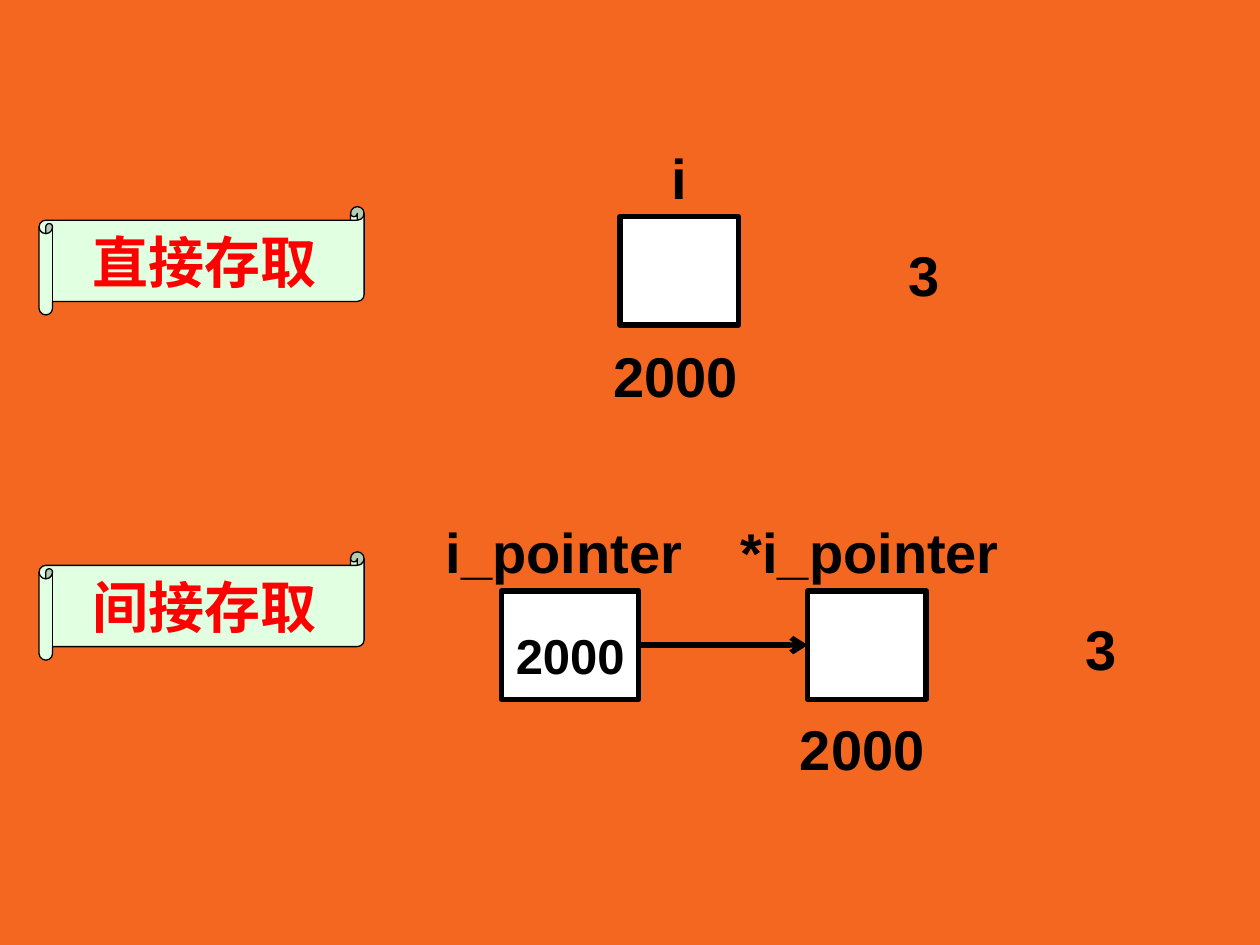
from pptx import Presentation
from pptx.dml.color import RGBColor
from pptx.enum.shapes import MSO_CONNECTOR, MSO_SHAPE
from pptx.enum.text import MSO_ANCHOR, MSO_AUTO_SIZE, PP_ALIGN
from pptx.oxml.ns import qn
from pptx.util import Inches, Pt
from lxml.etree import SubElement

ORANGE = RGBColor(0xF3, 0x67, 0x21)
BLACK = RGBColor(0x00, 0x00, 0x00)
WHITE = RGBColor(0xFF, 0xFF, 0xFF)
RED = RGBColor(0xFF, 0x00, 0x00)
MINT = RGBColor(0xE1, 0xFF, 0xE1)


def write(shape, text, size, color, align):
    para = shape.text_frame.paragraphs[0]
    para.alignment = align
    span = para.add_run()
    span.text = text
    span.font.name = "Arial"
    span.font.size = Pt(size)
    span.font.bold = True
    span.font.color.rgb = color


def add_filled(kind, left, top, width, fill, line_width):
    shape = page.shapes.add_shape(kind, Inches(left), Inches(top), Inches(width), Inches(0.86))
    shape.shadow.inherit = False
    shape.fill.solid()
    shape.fill.fore_color.rgb = fill
    shape.line.color.rgb = BLACK
    shape.line.width = Pt(line_width)
    shape.text_frame.word_wrap = False
    shape.text_frame.vertical_anchor = MSO_ANCHOR.MIDDLE
    return shape


deck = Presentation()
deck.slide_width = Inches(10)
deck.slide_height = Inches(7.5)
page = deck.slides.add_slide(deck.slide_layouts[6])
page.background.fill.solid()
page.background.fill.fore_color.rgb = ORANGE

variable_cell = add_filled(MSO_SHAPE.RECTANGLE, 4.92, 1.72, 0.94, WHITE, 3)
pointer_cell = add_filled(MSO_SHAPE.RECTANGLE, 3.98, 4.69, 1.09, WHITE, 3)
target_cell = add_filled(MSO_SHAPE.RECTANGLE, 6.41, 4.69, 0.94, WHITE, 3)
pointer_cell.text_frame.margin_top = Inches(0.2)
write(pointer_cell, "2000", 28, BLACK, PP_ALIGN.CENTER)

labels = [
    ("i", 5.23, 1.09, 0.55),
    ("2000", 4.77, 2.66, 1.25),
    ("3", 7.11, 1.86, 0.55),
    ("i_pointer", 3.44, 4.06, 2.19),
    ("*i_pointer", 5.78, 4.06, 2.42),
    ("2000", 6.25, 5.62, 1.25),
    ("3", 8.52, 4.83, 0.55),
]
for text, left, top, width in labels:
    box = page.shapes.add_textbox(Inches(left), Inches(top), Inches(width), Inches(0.64))
    box.text_frame.word_wrap = True
    box.text_frame.auto_size = MSO_AUTO_SIZE.SHAPE_TO_FIT_TEXT
    write(box, text, 32, BLACK, PP_ALIGN.LEFT)

arrow = page.shapes.add_connector(
    MSO_CONNECTOR.STRAIGHT, Inches(5.07), Inches(5.12), Inches(6.41), Inches(5.12)
)
arrow.begin_connect(pointer_cell, 3)
arrow.end_connect(target_cell, 1)
arrow.line.color.rgb = BLACK
arrow.line.width = Pt(3)
SubElement(arrow.line._get_or_add_ln(), qn("a:tailEnd"), type="arrow")
SubElement(arrow._element.spPr, qn("a:effectLst"))

for text, top in [("直接存取", 1.64), ("间接存取", 4.38)]:
    scroll = add_filled(MSO_SHAPE.HORIZONTAL_SCROLL, 0.31, top, 2.58, MINT, 0.75)
    scroll.adjustments[0] = 0.125
    write(scroll, text, 32, RED, PP_ALIGN.CENTER)

deck.save("out.pptx")
